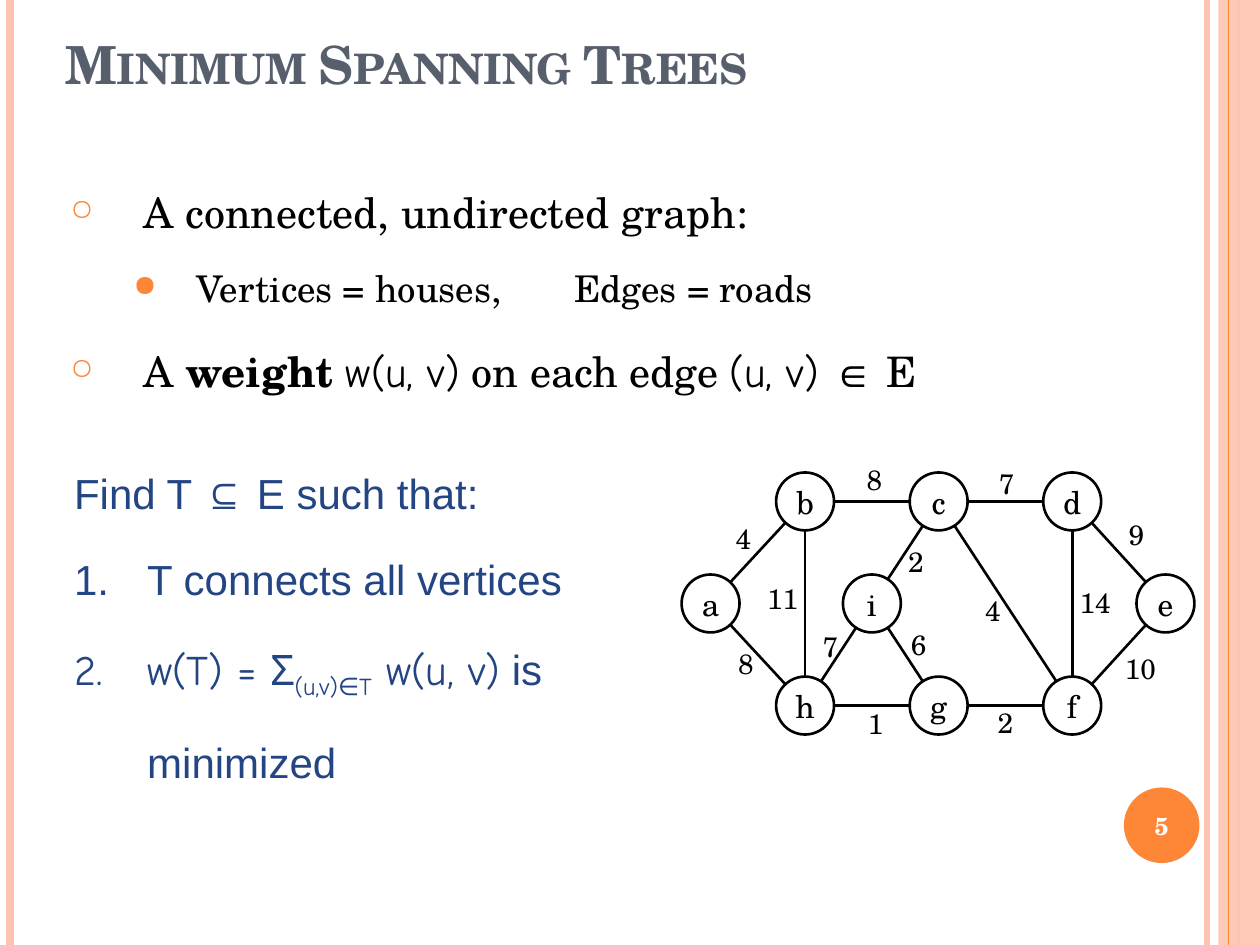
from math import hypot
from lxml import etree
from pptx import Presentation
from pptx.dml.color import RGBColor
from pptx.enum.shapes import MSO_CONNECTOR, MSO_SHAPE
from pptx.enum.text import MSO_ANCHOR, PP_ALIGN
from pptx.oxml.ns import qn
from pptx.util import Inches, Pt

LINE = MSO_CONNECTOR.STRAIGHT
RECT, OVAL = MSO_SHAPE.RECTANGLE, MSO_SHAPE.OVAL
TOP, MIDDLE, BOTTOM = MSO_ANCHOR.TOP, MSO_ANCHOR.MIDDLE, MSO_ANCHOR.BOTTOM
CENTER = PP_ALIGN.CENTER
BLACK = RGBColor(0x00, 0x00, 0x00)
WHITE = RGBColor(0xFF, 0xFF, 0xFF)
ORANGE = RGBColor(0xFE, 0x86, 0x37)
PEACH = RGBColor(0xFE, 0xC3, 0xAE)
SLATE = RGBColor(0x57, 0x5F, 0x6D)
NAVY = RGBColor(0x24, 0x45, 0x83)
SERIF, SANS, COMIC = "TeX Gyre Schola", "Arial", "Comic Neue"

SIZE = 0.46
NODES = {
    "a": (0, 0.81), "b": (0.75, 0), "c": (1.81, 0), "d": (2.87, 0), "e": (3.61, 0.81),
    "h": (0.75, 1.62), "g": (1.81, 1.62), "f": (2.87, 1.62), "i": (1.28, 0.81),
}
EDGES = [
    ("ab", "4", 0.33, 0.34), ("bc", "8", 1.37, -0.13), ("cd", "7", 2.42, -0.1),
    ("ah", "8", 0.35, 1.33), ("bh", "11", 0.58, 0.82), ("hg", "1", 1.38, 1.81),
    ("gf", "2", 2.41, 1.8), ("hi", "7", 1.02, 1.2), ("ic", "2", 1.7, 0.52),
    ("cf", "4", 2.31, 0.91), ("df", "14", 3.06, 0.85), ("de", "9", 3.45, 0.31),
    ("fe", "10", 3.42, 1.37), ("ig", "6", 1.72, 1.18),
]


def fade(fill, pct):
    """Give a solid fill an opacity in percent."""
    color = fill._xPr.find(qn("a:solidFill"))[0]
    etree.SubElement(color, qn("a:alpha"), val=str(pct * 1000))


def style(run, size, color, face=SERIF, bold=False):
    """Set the font of a run."""
    font = run.font
    font.size, font.name, font.bold = Pt(size), face, bold
    font.color.rgb = color


def add_line(slide, start, end, color, width):
    """Draw a straight line between two points in inches."""
    line = slide.shapes.add_connector(LINE, *map(Inches, start + end))
    line.line.color.rgb, line.line.width = color, Pt(width)
    etree.SubElement(line._element.spPr, qn("a:effectLst"))
    return line


def add_solid(slide, kind, box, color):
    """Add a borderless filled shape."""
    shape = slide.shapes.add_shape(kind, *map(Inches, box))
    shape.shadow.inherit = False
    shape.fill.solid()
    shape.fill.fore_color.rgb = color
    shape.line.fill.background()
    return shape


def add_text(slide, box, anchor=TOP, wrap=True):
    """Add a text box and return its frame."""
    frame = slide.shapes.add_textbox(*map(Inches, box)).text_frame
    frame.word_wrap, frame.vertical_anchor = wrap, anchor
    return frame


def add_frame(slide, width, height):
    """Draw the side stripes across the slide's height."""
    band = add_solid(slide, RECT, (width - 0.33, 0, 0.33, height), PEACH)
    fade(band.fill, 87)
    for x, color, weight in [(0.08, PEACH, 4.5), (width - 0.42, PEACH, 3),
                             (width - 0.25, ORANGE, 0.75)]:
        add_line(slide, (x, 0), (x, height), color, weight)


def add_title(slide, box):
    """Add the heading in small capitals."""
    frame = add_text(slide, box, BOTTOM)
    frame.text = "Minimum Spanning Trees"
    run = frame.paragraphs[0].runs[0]
    style(run, 30, SLATE, bold=True)
    run.font._element.set("cap", "small") if hasattr(run.font, "_element") else run._r.rPr.set("cap", "small")


def add_badge(slide, box):
    """Add the round page number."""
    shape = add_solid(slide, OVAL, box, ORANGE)
    frame = shape.text_frame
    frame.word_wrap, frame.vertical_anchor = False, MIDDLE
    frame.text = "5"
    frame.paragraphs[0].alignment = CENTER
    style(frame.paragraphs[0].runs[0], 14, WHITE, bold=True)


def add_para(frame, first, left, hang, before):
    """Start a paragraph with a hanging indent and return it."""
    para = frame.paragraphs[0] if first else frame.add_paragraph()
    para.line_spacing = 1.5
    if not first:
        para.space_before = Pt(before)
    props = para._p.get_or_add_pPr()
    props.set("marL", str(Inches(left)))
    props.set("indent", str(-Inches(hang)))
    return para


def add_points(slide, box):
    """Add the bulleted description of the graph."""
    frame = add_text(slide, box)
    rows = [
        (0, [("A connected, undirected graph:", SERIF, False)]),
        (1, [("Vertices = houses,\tEdges = roads", SERIF, False)]),
        (0, [("A ", SERIF, False), ("weight ", SERIF, True), ("w(u, v)", COMIC, False),
             (" on each edge ", SERIF, False), ("(u, v) ", COMIC, False),
             ("∈ E", SERIF, False)]),
    ]
    looks = [(0.58, 0.58, 6, "○", 70, 24), (1, 0.5, 4, "●", 80, 21)]
    for n, (level, parts) in enumerate(rows):
        left, hang, before, mark, scale, size = looks[level]
        para = add_para(frame, n == 0, left, hang, before)
        para.level = level
        props = para._p.pPr
        color = etree.SubElement(props, qn("a:buClr"))
        etree.SubElement(color, qn("a:srgbClr"), val=str(ORANGE))
        etree.SubElement(props, qn("a:buSzPct"), val=str(scale * 1000))
        etree.SubElement(props, qn("a:buChar"), char=mark)
        if level:
            tabs = etree.SubElement(props, qn("a:tabLst"))
            for stop in (3, 4):
                etree.SubElement(tabs, qn("a:tab"), pos=str(Inches(stop)), algn="l")
        for text, face, bold in parts:
            run = para.add_run()
            run.text = text
            style(run, size, BLACK, face, bold)


def add_goal(slide, box):
    """Add the numbered statement of the problem."""
    frame = add_text(slide, box)
    rows = [
        (0.58, False, [("Find T ⊆ E such that:", SANS, 0)]),
        (0.58, True, [("T connects all vertices", SANS, 0)]),
        (0.58, True, [("w(T) = Σ", COMIC, 0), ("(u,v)∈T", COMIC, -25),
                      (" w(u, v)", COMIC, 0), (" is", SANS, 0)]),
        (0, False, [("minimized", SANS, 0)]),
    ]
    for n, (hang, listed, parts) in enumerate(rows):
        para = add_para(frame, n == 0, 0.58, hang, 6)
        if listed:
            etree.SubElement(para._p.pPr, qn("a:buAutoNum"), type="arabicPeriod")
        for text, face, shift in parts:
            run = para.add_run()
            run.text = text
            style(run, 24, NAVY, face)
            if shift:
                run._r.rPr.set("baseline", str(shift * 1000))


def add_node(slide, name, x, y):
    """Add one labelled vertex."""
    node = slide.shapes.add_shape(OVAL, *map(Inches, (x, y, SIZE, SIZE)))
    node.shadow.inherit = False
    node.fill.background()
    node.line.color.rgb, node.line.width = BLACK, Pt(1.5)
    frame = node.text_frame
    frame.word_wrap, frame.vertical_anchor = False, MIDDLE
    frame.text = name
    frame.paragraphs[0].alignment = CENTER
    style(frame.paragraphs[0].runs[0], 18, BLACK)


def add_graph(slide, left, top):
    """Draw the weighted graph from its top left corner."""
    for name, (x, y) in NODES.items():
        add_node(slide, name, left + x, top + y)
    half = SIZE / 2
    for (tail, head), weight, x, y in EDGES:
        (ax, ay), (bx, by) = NODES[tail], NODES[head]
        ratio = half / hypot(bx - ax, by - ay)
        dx, dy = (bx - ax) * ratio, (by - ay) * ratio
        ox, oy = left + half, top + half
        add_line(slide, (ox + ax + dx, oy + ay + dy), (ox + bx - dx, oy + by - dy), BLACK, 1.5)
        width = 0.19 + 0.13 * len(weight)
        frame = add_text(slide, (left + x, top + y, width, 0.37), wrap=False)
        frame.text = weight
        style(frame.paragraphs[0].runs[0], 16, BLACK)


def main():
    """Build and save the slide."""
    deck = Presentation()
    deck.slide_width, deck.slide_height = Inches(10), Inches(7.5)
    slide = deck.slides.add_slide(deck.slide_layouts[6])
    add_frame(slide, 10, 7.5)
    add_line(slide, (9.83, 0), (9.83, 7.5), PEACH, 1.5)
    add_title(slide, (0.42, 0.08, 8.17, 0.72))
    add_points(slide, (0.46, 1.23, 8.17, 5.33))
    add_badge(slide, (8.92, 6.25, 0.6, 0.6))
    add_graph(slide, 5.41, 3.75)
    add_goal(slide, (0.49, 3.46, 9.24, 2.28))
    deck.save("out.pptx")


if __name__ == "__main__":
    main()
